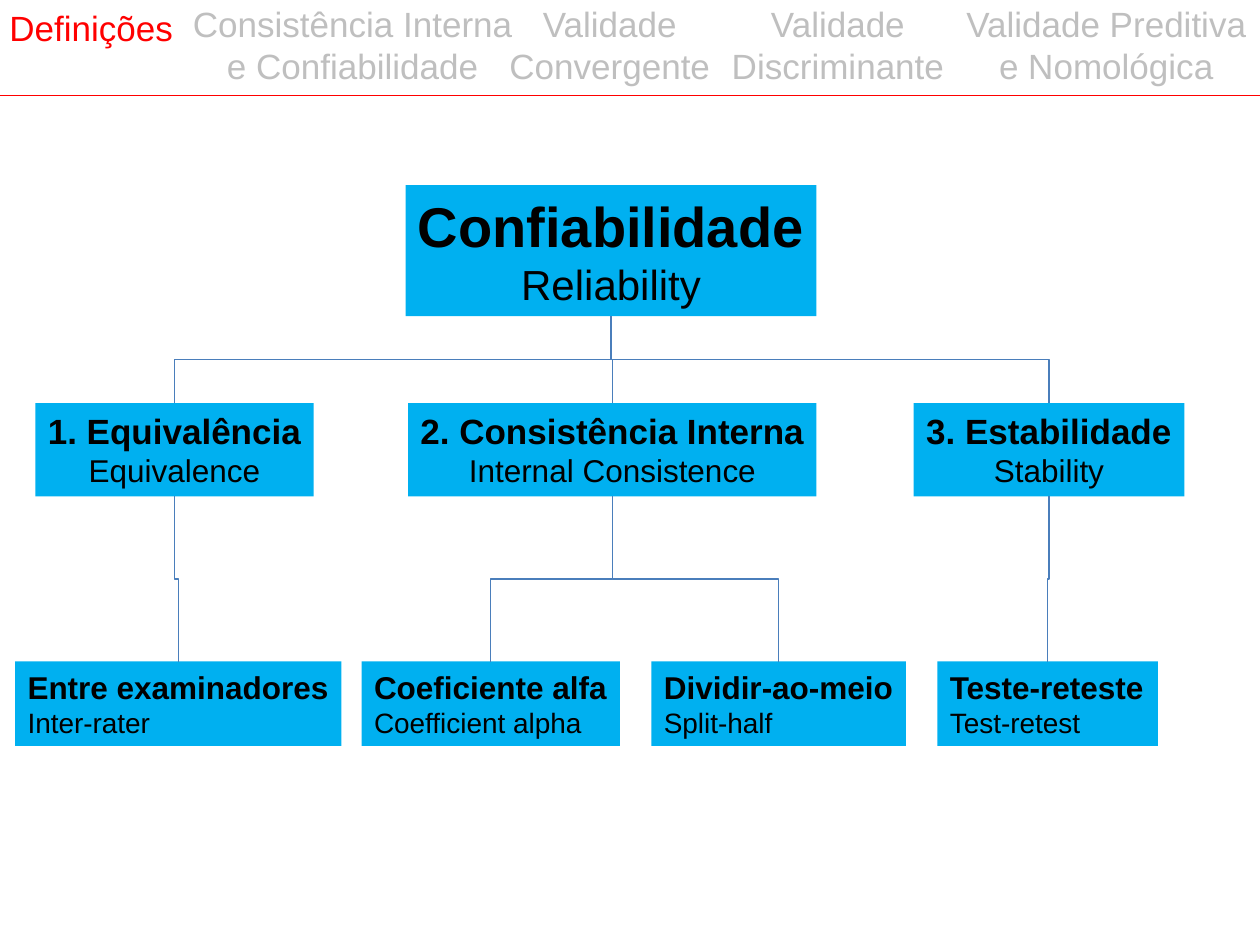
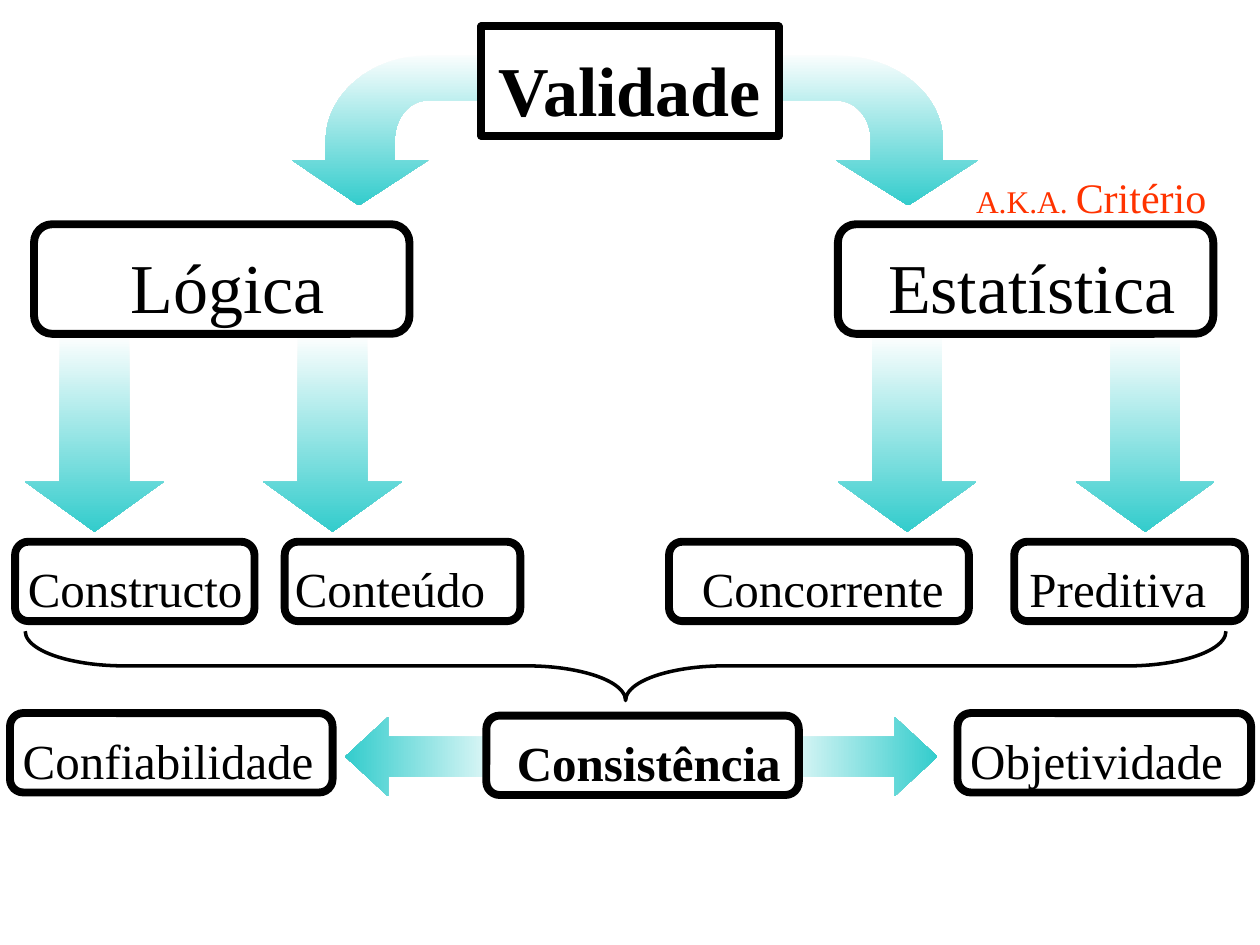
from collections import namedtuple
from lxml import etree
from pptx import Presentation, util as u
from pptx.dml.color import RGBColor
from pptx.enum import shapes, text
from pptx.oxml.ns import qn

WIDTH, HEIGHT = u.Inches(10), u.Inches(7.5)
CELL = WIDTH / 100
BLACK = RGBColor(0, 0, 0)
WHITE = RGBColor(255, 255, 255)
RED = RGBColor(255, 0, 0)
GREY = RGBColor(0xBF, 0xBF, 0xBF)
SKY = RGBColor(0, 0xB0, 0xF0)
STEEL = RGBColor(0x4A, 0x7E, 0xBB)
TEAL = RGBColor(0x33, 0xCC, 0xCC)
MIST = RGBColor(0xF9, 0xFD, 0xFD)
ORANGE = RGBColor(0xFF, 0x33, 0)
SANS, SERIF = "Arial", "Times New Roman"
LEFT, CENTER = text.PP_ALIGN.LEFT, text.PP_ALIGN.CENTER
TOP, MIDDLE = text.MSO_ANCHOR.TOP, text.MSO_ANCHOR.MIDDLE
PRESET = shapes.MSO_SHAPE
DOWNWARD, RIGHTWARD, LEFTWARD = 270, 0, 180


class Box(namedtuple("Box", "col row cols rows")):
    def inner(self, col, row, cols, rows):
        return Box(self.col + col, self.row + row, cols, rows)

    def emu(self):
        return [round(cells * CELL) for cells in self]


def apply(target, values):
    for name, value in values.items():
        setattr(target, name, value)


def place(shape, box):
    apply(shape, dict(zip(("left", "top", "width", "height"), box.emu())))


def write(shape, paragraphs, face, color, align=CENTER, **frame_values):
    frame = shape.text_frame
    apply(frame, {"auto_size": text.MSO_AUTO_SIZE.NONE, "word_wrap": True,
                  "vertical_anchor": TOP,
                  "margin_left": u.Inches(0.1), "margin_right": u.Inches(0.1),
                  "margin_top": u.Inches(0.05), "margin_bottom": u.Inches(0.05),
                  **frame_values})
    for index, runs in enumerate(paragraphs):
        paragraph = frame.add_paragraph() if index else frame.paragraphs[0]
        paragraph.alignment = align
        for words, size, bold in runs:
            run = paragraph.add_run()
            run.text = words
            apply(run.font, {"name": face, "size": u.Pt(size), "bold": bold})
            run.font.color.rgb = color


def add_preset(slide, preset, box, adjustments=()):
    shape = slide.shapes.add_shape(preset, *box.emu())
    shape.shadow.inherit = False
    for index, value in enumerate(adjustments):
        shape.adjustments[index] = value
    return shape


def fade(shape, direction, start=WHITE):
    shape.fill.gradient()
    shape.fill.gradient_angle = direction
    for stop, position, color in zip(shape.fill.gradient_stops, (0, 1), (start, TEAL)):
        stop.position = position
        stop.color.rgb = color
    shape.line.fill.background()


def style_connector(connector, color):
    connector.line.color.rgb = color
    connector.line.width = u.Pt(0.75)
    etree.SubElement(connector._element.spPr, qn("a:effectLst"))


def nav_bar(slide, box):
    current = slide.shapes.title
    place(current, box.inner(-0.4, 0, 15.3, 4.4))
    write(current, [[("Definições", 20, False)]], SANS, RED)
    sections = [("Consistência Interna e Confiabilidade", 13.8, 28.4),
                ("Validade Convergente", 35.8, 25.2),
                ("Validade Discriminante", 53.9, 25.2),
                ("Validade Preditiva e Nomológica", 75.2, 25.2)]
    for section, col, cols in sections:
        tab = slide.shapes.add_textbox(*box.inner(col, -0.3, cols, 7.7).emu())
        write(tab, [[(section, 20, False)]], SANS, GREY)
    left, top, width, height = box.emu()
    rule = slide.shapes.add_connector(shapes.MSO_CONNECTOR.STRAIGHT,
                                      left, top + height, left + width, top + height)
    style_connector(rule, RED)


def tree_node(slide, box, term, translation, sizes, align=CENTER):
    node = add_preset(slide, PRESET.RECTANGLE, box)
    node.fill.solid()
    node.fill.fore_color.rgb = SKY
    node.line.fill.background()
    write(node, [[(term, sizes[0], True)], [(translation, sizes[1], False)]],
          SANS, BLACK, align, word_wrap=False)
    return node


def join(slide, parent, child):
    branch = slide.shapes.add_connector(shapes.MSO_CONNECTOR.ELBOW, 0, 0, 0, 0)
    branch.begin_connect(parent, 2)
    branch.end_connect(child, 0)
    start, end = parent.left + parent.width // 2, child.left + child.width // 2
    upper, lower = parent.top + parent.height, child.top
    drop, shift = lower - upper, abs(end - start)
    apply(branch, {"left": (start + end - drop) // 2, "top": (upper + lower - shift) // 2,
                   "width": drop, "height": shift})
    to_left = end < start
    turn = {"rot": "5400000" if to_left else "16200000",
            "flipH": "0" if to_left else "1", "flipV": "0"}
    for name, value in turn.items():
        branch._element.spPr.find(qn("a:xfrm")).set(name, value)
    style_connector(branch, STEEL)


def reliability_tree(slide, box):
    root = tree_node(slide, box.inner(32.2, 0, 32.6, 10.4),
                     "Confiabilidade", "Reliability", (32, 24))
    kinds = [
        ("1. Equivalência", "Equivalence", 2.8, 22.1,
         [("Entre examinadores", "Inter-rater", 1.2, 25.9)]),
        ("2. Consistência Interna", "Internal Consistence", 32.4, 32.4,
         [("Coeficiente alfa", "Coefficient alpha", 28.7, 20.5),
          ("Dividir-ao-meio", "Split-half", 51.7, 20.2)]),
        ("3. Estabilidade", "Stability", 72.5, 21.5,
         [("Teste-reteste", "Test-retest", 74.4, 17.5)]),
    ]
    for term, translation, col, cols, methods in kinds:
        kind = tree_node(slide, box.inner(col, 17.3, cols, 7.4),
                         term, translation, (20, 18))
        join(slide, root, kind)
        for method, english, method_col, method_cols in methods:
            leaf = tree_node(slide, box.inner(method_col, 37.8, method_cols, 6.7),
                             method, english, (18, 16), LEFT)
            join(slide, kind, leaf)


def frame_node(node, words, size, bold=False, indent=0.07, align=LEFT):
    node.fill.solid()
    node.fill.fore_color.rgb = WHITE
    node.line.color.rgb = BLACK
    node.line.width = u.Pt(4.5)
    write(node, [[(words, size, bold)]], SERIF, BLACK, align,
          vertical_anchor=MIDDLE, margin_left=u.Inches(indent), margin_right=0,
          margin_top=u.Inches(0.11), margin_bottom=0)


def rounded_node(slide, box, *label, **look):
    frame_node(add_preset(slide, PRESET.ROUNDED_RECTANGLE, box), *label, **look)


def bezier(*points, steps=16):
    for step in range(1, steps + 1):
        t = step / steps
        weights = ((1 - t) ** 3, 3 * t * (1 - t) ** 2, 3 * t * t * (1 - t), t ** 3)
        yield tuple(sum(w * p[axis] for w, p in zip(weights, points)) for axis in (0, 1))


def bent_arrow(slide, box, mirrored=False):
    outline = [(0.28, 1), (0, 0.7), (0.14, 0.7), (0.14, 0.57),
               *bezier((0.14, 0.57), (0.14, 0.26), (0.33, 0), (0.57, 0)),
               (1, 0), (1, 0.3), (0.57, 0.3),
               *bezier((0.57, 0.3), (0.49, 0.3), (0.43, 0.42), (0.43, 0.57)),
               (0.43, 0.7), (0.57, 0.7)]
    left, top, width, height = box.emu()
    points = [(round(left + width * (1 - x if mirrored else x)), round(top + height * y))
              for x, y in outline]
    builder = slide.shapes.build_freeform(*points[0])
    builder.add_line_segments(points[1:], close=True)
    arrow = builder.convert_to_shape()
    arrow.shadow.inherit = False
    fade(arrow, DOWNWARD, MIST)


def validity_tree(slide, box):
    bent_arrow(slide, box.inner(23.2, 2.3, 18.9, 11.9))
    bent_arrow(slide, box.inner(57.9, 2.3, 19.7, 11.9), mirrored=True)
    for col in (2, 20.9, 66.5, 85.4):
        arrow = add_preset(slide, PRESET.DOWN_ARROW, box.inner(col, 24.4, 11, 15.7), (0.5, 0.36))
        fade(arrow, DOWNWARD)

    heading = slide.shapes.title
    place(heading, box.inner(38.2, 0, 23.6, 8.7))
    outline = etree.SubElement(heading._element.spPr, qn("a:prstGeom"), prst="roundRect")
    etree.SubElement(outline, qn("a:avLst"))
    heading._element.getparent().append(heading._element)
    frame_node(heading, "Validade", 40, bold=True, indent=0.14)

    for branch, col in (("Lógica", 2.7), ("Estatística", 66.5)):
        rounded_node(slide, box.inner(col, 15.7, 29.8, 8.7), branch, 40,
                     indent=0.1, align=CENTER)
    alias = slide.shapes.add_textbox(*box.inner(75.2, 11, 22.8, 5).emu())
    write(alias, [[("A.K.A. ", 18, False), ("Critério", 24, False)]], SERIF, ORANGE)
    for kind, col, cols, indent in (("Constructo", 1.2, 19, 0.07),
                                    ("Conteúdo", 22.6, 18.7, 0.05),
                                    ("Concorrente", 53.1, 23.8, 0.23),
                                    ("Preditiva", 80.5, 18.3, 0.09)):
        rounded_node(slide, box.inner(col, 40.9, cols, 6.3), kind, 28, indent=indent)


def consistency_row(slide, box):
    brace = add_preset(slide, PRESET.RIGHT_BRACE, box.inner(46.9, -44.9, 5.5, 95.3), (1.43, 0.5))
    brace.rotation = 90
    brace.fill.background()
    brace.line.color.rgb = BLACK
    brace.line.width = u.Pt(2)
    for preset, col, direction in ((PRESET.LEFT_ARROW, 27.4, LEFTWARD),
                                   (PRESET.RIGHT_ARROW, 60.7, RIGHTWARD)):
        arrow = add_preset(slide, preset, box.inner(col, 6.8, 13.7, 6.3), (0.5, 0.54))
        fade(arrow, direction)
    rounded_node(slide, box.inner(38.6, 6.7, 24.8, 6.3), "Consistência", 28,
                 bold=True, indent=0.1, align=CENTER)
    for outcome, col, cols in (("Confiabilidade", 0.8, 25.6), ("Objetividade", 76, 23.3)):
        rounded_node(slide, box.inner(col, 6.5, cols, 6.3), outcome, 28)


def main():
    deck = Presentation()
    deck.slide_width, deck.slide_height = WIDTH, HEIGHT
    title_only = deck.slide_layouts[5]

    reliability = deck.slides.add_slide(title_only)
    nav_bar(reliability, Box(0, 0, 100, 7.6))
    reliability_tree(reliability, Box(0, 14.7, 100, 44.5))

    validity = deck.slides.add_slide(title_only)
    validity_tree(validity, Box(0, 2.1, 100, 47.2))
    consistency_row(validity, Box(0, 50.1, 100, 13))

    deck.save("out.pptx")


if __name__ == "__main__":
    main()
